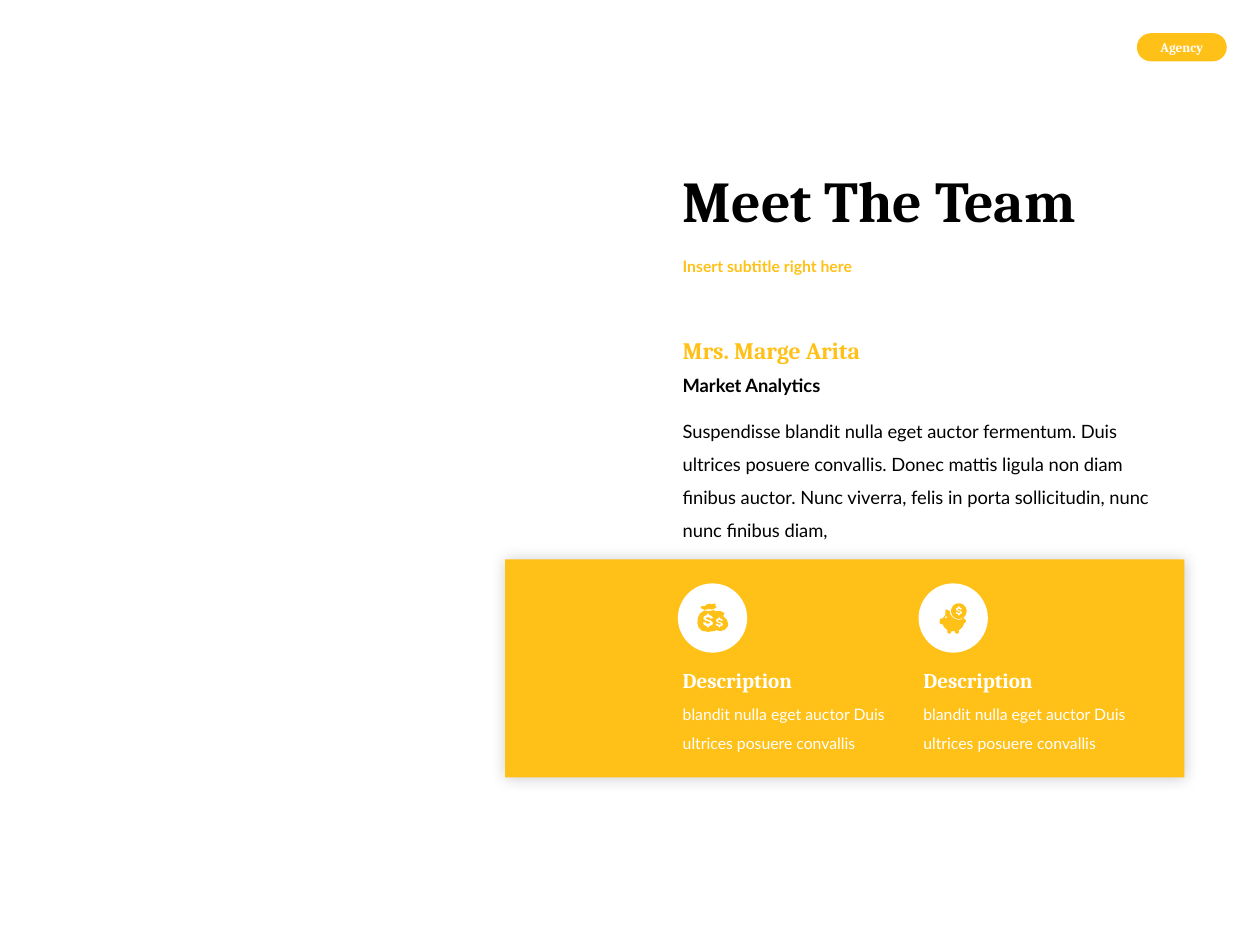
from dataclasses import dataclass
from math import cos, pi, sin

from lxml import etree
from pptx import Presentation
from pptx.dml.color import RGBColor
from pptx.enum.shapes import MSO_SHAPE
from pptx.enum.text import MSO_ANCHOR, PP_ALIGN
from pptx.oxml.ns import qn
from pptx.util import Inches, Pt

RECTANGLE = MSO_SHAPE.RECTANGLE
PILL = MSO_SHAPE.ROUNDED_RECTANGLE
OVAL = MSO_SHAPE.OVAL
LEFT, CENTER = PP_ALIGN.LEFT, PP_ALIGN.CENTER
TOP, MIDDLE = MSO_ANCHOR.TOP, MSO_ANCHOR.MIDDLE


@dataclass(frozen=True)
class Theme:
    accent: RGBColor = RGBColor(0xFF, 0xC1, 0x18)
    dark: RGBColor = RGBColor(0, 0, 0)
    light: RGBColor = RGBColor(0xFF, 0xFF, 0xFF)
    heading: str = "Cambria"
    body: str = "Lato"
    title_size: float = 33
    name_size: float = 13.5
    card_size: float = 12
    body_size: float = 10.5
    small_size: float = 9
    label_size: float = 7.5


DOLLAR = [(-.08, -.5), (.08, -.5), (.08, -.41), (.28, -.33), (.36, -.16), (.16, -.14), (.08, -.23),
          (-.1, -.23), (-.14, -.15), (-.05, -.08), (.2, 0), (.36, .13), (.33, .3), (.08, .41),
          (.08, .5), (-.08, .5), (-.08, .41), (-.3, .32), (-.38, .14), (-.18, .12), (-.1, .22),
          (.07, .23), (.15, .15), (.05, .07), (-.2, 0), (-.35, -.13), (-.3, -.32), (-.08, -.41)]
CIRCLE = [(cos(step * pi / 16), sin(step * pi / 16)) for step in range(32)]


def placed(outline, x, y, size):
    return [(x + size * px, y + size * py) for px, py in outline]


BAGS = [(21, 21.5), (17.5, 24), (16, 27), (15.5, 31.5), (16.5, 35), (19, 37.5), (24, 38.5),
        (29, 37.8), (30.5, 37.2), (34, 37.8), (37, 37), (39.5, 34.5), (40, 32), (39, 29),
        (36, 26), (36.5, 25), (37, 23.5), (34, 22), (30, 22), (28.5, 21.2), (25, 22)]
KNOT = [(21, 21), (24, 20.5), (28, 20.7), (31, 18.7), (29.7, 18), (30.2, 16.3), (28.7, 16),
        (27, 16.7), (25.5, 16), (23, 16.7), (21.5, 18), (19, 18), (18, 19.5)]
PIG = [(36.7, 28.8), (36, 27), (34, 28.5), (32, 29), (29, 28.3), (26.5, 26.5), (25, 24),
       (24.8, 22), (22, 20.7), (21.3, 21.2), (21.4, 25), (19.3, 27.7), (17, 28.3), (16.7, 31.5),
       (17.5, 32.2), (19, 32.5), (20.5, 35), (22.8, 37), (23, 39), (24, 40), (25.5, 39.7),
       (26.2, 38), (28.8, 38), (29.3, 39.7), (31, 40), (32, 39), (32, 37.2), (34.7, 35),
       (36.5, 31.5), (37.7, 30.5), (37.5, 29)]
MONEY_BAGS = [[BAGS, placed(DOLLAR, 24, 29.5, 11), placed(DOLLAR, 33, 31, 8)], [KNOT]]
PIGGY_BANK = [[PIG, placed(CIRCLE, 21.8, 27, 0.8)],
              [placed(CIRCLE, 32, 22, 6.2), placed(DOLLAR, 32, 21.8, 7)]]


class SlideBuilder:
    """Draws themed elements on the current slide."""

    def __init__(self, slide, theme):
        self.slide = slide
        self.theme = theme

    def shape(self, kind, left, top, width, height, color):
        shape = self.slide.shapes.add_shape(
            kind, Inches(left), Inches(top), Inches(width), Inches(height))
        self.paint(shape, color)
        return shape

    def paint(self, shape, color):
        shape.shadow.inherit = False
        shape.fill.solid()
        shape.fill.fore_color.rgb = color
        shape.line.fill.background()

    def glow(self, shape):
        effects = shape.element.spPr.find(qn("a:effectLst"))
        shadow = etree.SubElement(effects, qn("a:outerShdw"), blurRad=str(Pt(9)), dist="0",
                                  dir="0", algn="ctr", rotWithShape="0")
        color = etree.SubElement(shadow, qn("a:srgbClr"), val=str(self.theme.dark))
        etree.SubElement(color, qn("a:alpha"), val="20000")

    def text(self, words, color, left, top, width, height, size, font, bold=True,
             spacing=1.0, align=LEFT, anchor=TOP):
        box = self.slide.shapes.add_textbox(
            Inches(left), Inches(top), Inches(width), Inches(height))
        frame = box.text_frame
        frame.word_wrap = True
        frame.vertical_anchor = anchor
        paragraph = frame.paragraphs[0]
        paragraph.text = words
        paragraph.alignment = align
        paragraph.line_spacing = spacing
        paragraph.font.size = Pt(size)
        paragraph.font.name = font
        paragraph.font.bold = bold
        paragraph.font.color.rgb = color

    def icon(self, parts, left, top):
        for contours in parts:
            outlines = [[(Inches(left + x / 100), Inches(top + y / 100)) for x, y in contour]
                        for contour in contours]
            builder = self.slide.shapes.build_freeform(*outlines[0][0])
            builder.add_line_segments(outlines[0][1:], close=True)
            for outline in outlines[1:]:
                builder.move_to(*outline[0])
                builder.add_line_segments(outline[1:], close=True)
            self.paint(builder.convert_to_shape(), self.theme.accent)

    def badge(self, label):
        theme = self.theme
        pill = self.shape(PILL, 9.03, 0.27, 0.7, 0.21, theme.accent)
        pill.adjustments[0] = 0.5
        pill.line.color.rgb = theme.accent
        pill.line.width = Pt(1)
        self.text(label, theme.light, 9.03, 0.26, 0.7, 0.23,
                  theme.label_size, theme.heading, align=CENTER)

    def description(self, left, heading, words, icon):
        theme = self.theme
        self.shape(OVAL, left + 0.06, 4.63, 0.55, 0.55, theme.light)
        self.text(words, theme.light, left, 5.47, 1.82, 0.53,
                  theme.small_size, theme.body, bold=False, spacing=1.5)
        self.text(heading, theme.light, left, 5.25, 1.46, 0.3,
                  theme.card_size, theme.heading)
        self.icon(icon, left + 0.06, 4.63)


def main():
    presentation = Presentation()
    presentation.slide_width = Inches(10)
    presentation.slide_height = Inches(7.5)
    theme = Theme()
    builder = SlideBuilder(presentation.slides.add_slide(presentation.slide_layouts[6]), theme)
    column = 5.32

    builder.badge("Agency")
    builder.text("Meet The Team", theme.dark, column, 1.1, 5.63, 1.03,
                 theme.title_size, theme.heading, spacing=0.9, anchor=MIDDLE)
    builder.text("Insert subtitle right here", theme.accent, column, 1.93, 5.63, 0.38,
                 theme.small_size, theme.body, spacing=0.9, anchor=MIDDLE)
    builder.glow(builder.shape(RECTANGLE, 4.01, 4.44, 5.39, 1.73, theme.accent))
    biography = ("Suspendisse blandit nulla eget auctor fermentum. Duis ultrices posuere "
                 "convallis. Donec mattis ligula non diam finibus auctor. Nunc viverra, felis "
                 "in porta sollicitudin, nunc nunc finibus diam,")
    builder.text(biography, theme.dark, column, 3.2, 4.08, 0.87,
                 theme.body_size, theme.body, bold=False, spacing=1.5)
    builder.text("Mrs. Marge Arita", theme.accent, column, 2.62, 1.82, 0.33,
                 theme.name_size, theme.heading)
    builder.text("Market Analytics", theme.dark, column, 2.92, 1.52, 0.28,
                 theme.body_size, theme.body)
    for index, icon in enumerate((MONEY_BAGS, PIGGY_BANK)):
        builder.description(column + index * 1.91, "Description",
                            "blandit nulla eget auctor Duis ultrices posuere convallis", icon)
    presentation.save("out.pptx")


if __name__ == "__main__":
    main()
